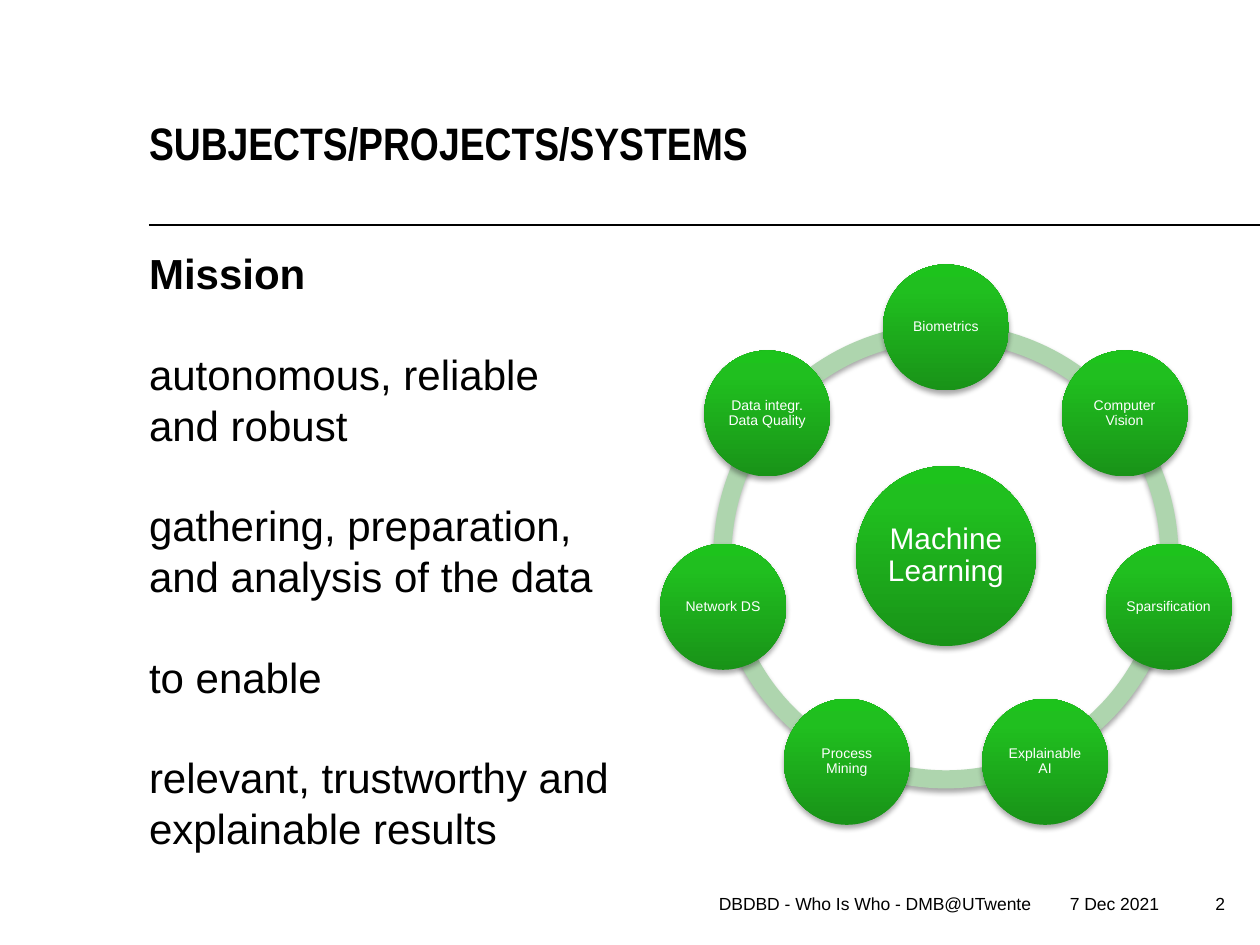
from math import cos, radians, sin

from lxml.etree import SubElement
from pptx import Presentation
from pptx.dml.color import RGBColor
from pptx.enum.shapes import MSO_CONNECTOR as Connector, MSO_SHAPE as Shape
from pptx.enum.text import MSO_ANCHOR as Anchor, MSO_AUTO_SIZE as AutoSize, PP_ALIGN as Align
from pptx.oxml.ns import qn
from pptx.util import Pt

PX = 914400 / 126
COLORS = {"text": "000000", "node_text": "FFFFFF", "ring": "AED5AE", "shadow": "000000"}
GRADIENT = {0: "199318", 80: "20BF1F", 100: "1DC31C"}
MISSION = [
    "Mission",
    "autonomous, reliable and robust",
    "gathering, preparation, and analysis of the data",
    "to enable",
    "relevant, trustworthy and explainable results",
]
SUBJECTS = [
    "Biometrics", "Computer Vision", "Sparsification", "Explainable AI",
    "Process Mining", "Network DS", "Data integr.\nData Quality",
]


def emu(*lengths):
    return [round(length * PX) for length in lengths]


def set_all(target, values):
    for name, value in values.items():
        setattr(target, name, value)


def format_frame(frame, insets, **values):
    names = ("margin_left", "margin_top", "margin_right", "margin_bottom")
    set_all(frame, dict(zip(names, emu(*insets))))
    set_all(frame, {"word_wrap": True, "auto_size": AutoSize.NONE, **values})


def write(paragraph, text, size, color="text", font="Arial", bold=False, **values):
    paragraph.text = text
    set_all(paragraph, values)
    set_all(paragraph.font, {"name": font, "size": Pt(size), "bold": bold})
    paragraph.font.color.rgb = RGBColor.from_string(COLORS[color])


def place(shape, box):
    set_all(shape, dict(zip(("left", "top", "width", "height"), emu(*box))))


def add_title(slide, box):
    title = slide.shapes.title
    place(title, box)
    format_frame(title.text_frame, (0, 0, 0, 0), vertical_anchor=Anchor.BOTTOM)
    write(title.text_frame.paragraphs[0], "SUBJECTS/PROJECTS/SYSTEMS", 26,
          font="Arial Narrow", bold=True, alignment=Align.LEFT)


def add_rule(slide, left, right, y):
    rule = slide.shapes.add_connector(Connector.STRAIGHT, *emu(left, y, right, y))
    rule.line.width = Pt(1)
    rule.line.color.rgb = RGBColor.from_string(COLORS["text"])
    SubElement(rule._element.spPr, qn("a:effectLst"))


def add_mission(slide, box):
    body = slide.placeholders[1]
    place(body, box)
    frame = body.text_frame
    format_frame(frame, (0, 6, 13, 6), vertical_anchor=Anchor.TOP)
    for index, text in enumerate(MISSION):
        paragraph = frame.paragraphs[0] if index == 0 else frame.add_paragraph()
        properties = paragraph._p.get_or_add_pPr()
        properties.set("marL", "0")
        properties.set("indent", "0")
        SubElement(properties, qn("a:buNone"))
        write(paragraph, text, 24, bold=index == 0, line_spacing=Pt(28.8),
              space_before=Pt(28.8 if index else 0))


def add_footer(slide, top, height):
    for text, left, width, right_inset in (
        ("DBDBD - Who Is Who - DMB@UTwente", 488, 556, 13),
        ("7 Dec 2021", 1043, 129, 13),
        ("2", 1173, 52, 0),
    ):
        frame = slide.shapes.add_textbox(*emu(left, top, width, height)).text_frame
        format_frame(frame, (13, 6, right_inset, 6))
        write(frame.paragraphs[0], text, 10, alignment=Align.RIGHT, line_spacing=Pt(15))


def add_shadow(shape):
    shape.shadow.inherit = False
    effects = shape._element.spPr.find(qn("a:effectLst"))
    shadow = SubElement(effects, qn("a:outerShdw"), blurRad="40000", dist="23000",
                        dir="5400000", rotWithShape="0")
    color = SubElement(shadow, qn("a:srgbClr"), val=COLORS["shadow"])
    SubElement(color, qn("a:alpha"), val="35000")


def add_round_shape(group, kind, x, y, radius):
    """Add a borderless round shape with a shadow, centred on x, y."""
    shape = group.shapes.add_shape(kind, *emu(x - radius, y - radius, 2 * radius, 2 * radius))
    shape.line.fill.background()
    add_shadow(shape)
    return shape


def add_node(group, text, x, y, radius, size, inset):
    node = add_round_shape(group, Shape.OVAL, x, y, radius)
    node.fill.gradient()
    node.fill.gradient_angle = 90
    stops = node._element.spPr.find(".//" + qn("a:gsLst"))
    stops.clear()
    for position, color in GRADIENT.items():
        stop = SubElement(stops, qn("a:gs"), pos=str(position * 1000))
        SubElement(stop, qn("a:srgbClr"), val=color)
    format_frame(node.text_frame, [inset] * 4, vertical_anchor=Anchor.MIDDLE)
    write(node.text_frame.paragraphs[0], text, size, "node_text",
          alignment=Align.CENTER, line_spacing=0.9)


def add_subject_wheel(slide, box):
    left, top, width, height = box
    x, y = left + width / 2, top + 291
    orbit, node_radius, ring_radius, hub_radius = 228.5, 63, 232.5, 90
    step = 360 / len(SUBJECTS)
    angles = [index * step - 90 for index in range(len(SUBJECTS))]
    group = slide.shapes.add_group_shape()

    # Ring segments between neighbouring subjects
    for angle in angles:
        arc = add_round_shape(group, Shape.BLOCK_ARC, x, y, ring_radius)
        arc.fill.solid()
        arc.fill.fore_color.rgb = RGBColor.from_string(COLORS["ring"])
        for index, value in enumerate((angle % 360 * 0.6, (angle + step) % 360 * 0.6, 0.039)):
            arc.adjustments[index] = value

    # Hub and subjects
    add_node(group, "Machine Learning", x, y, hub_radius, 17, 3)
    for text, angle in zip(SUBJECTS, angles):
        add_node(group, text, x + orbit * cos(radians(angle)),
                 y + orbit * sin(radians(angle)), node_radius, 8, 1)


def main():
    presentation = Presentation()
    presentation.slide_width, presentation.slide_height = emu(1260, 945)
    slide = presentation.slides.add_slide(presentation.slide_layouts[1])
    add_rule(slide, 149, 1260, 225)
    add_mission(slide, (149, 242, 481, 631))
    add_footer(slide, 882, 66)
    add_title(slide, (149, 69, 1071, 101))
    add_subject_wheel(slide, (661, 265, 570, 560))
    presentation.save("out.pptx")


if __name__ == "__main__":
    main()
